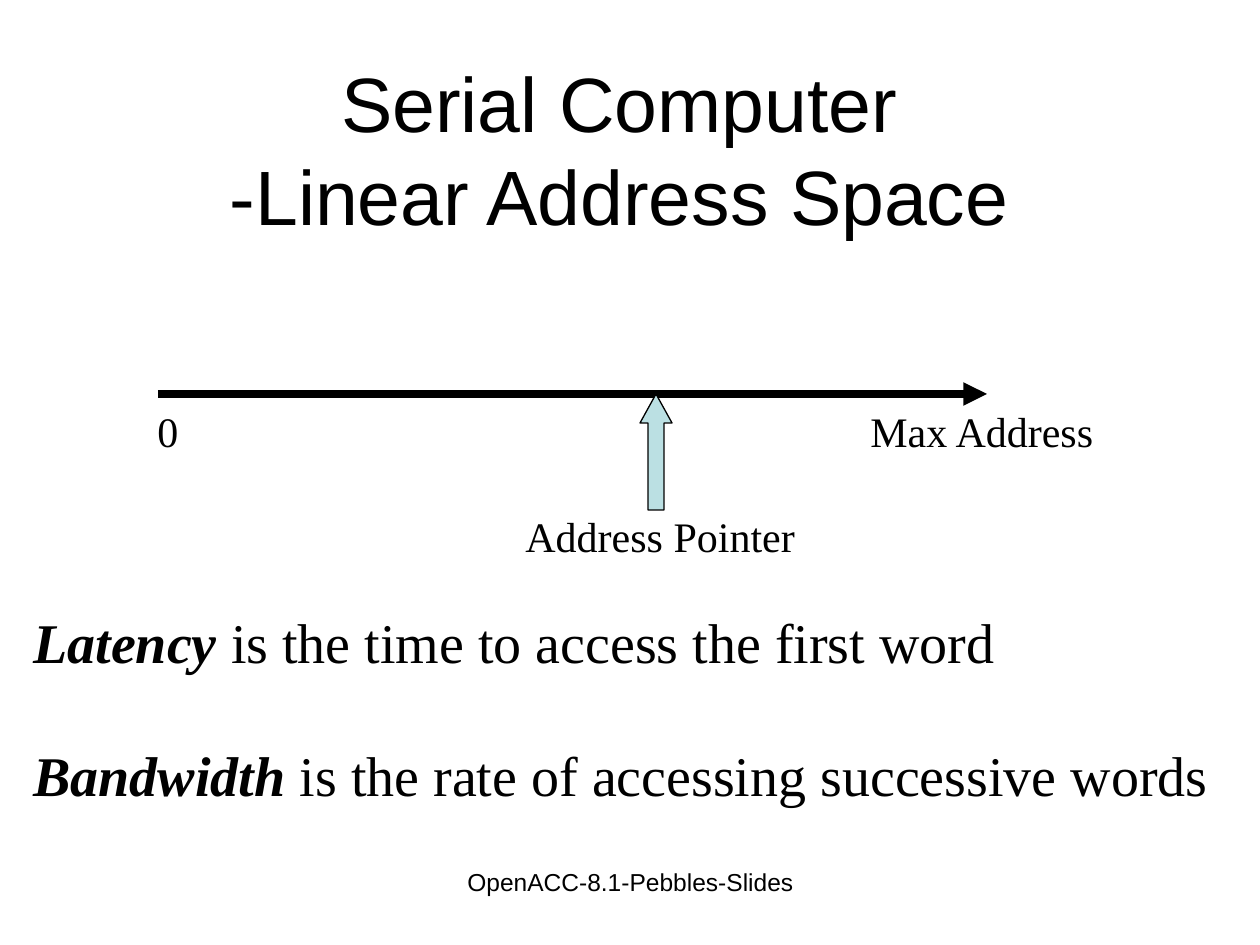
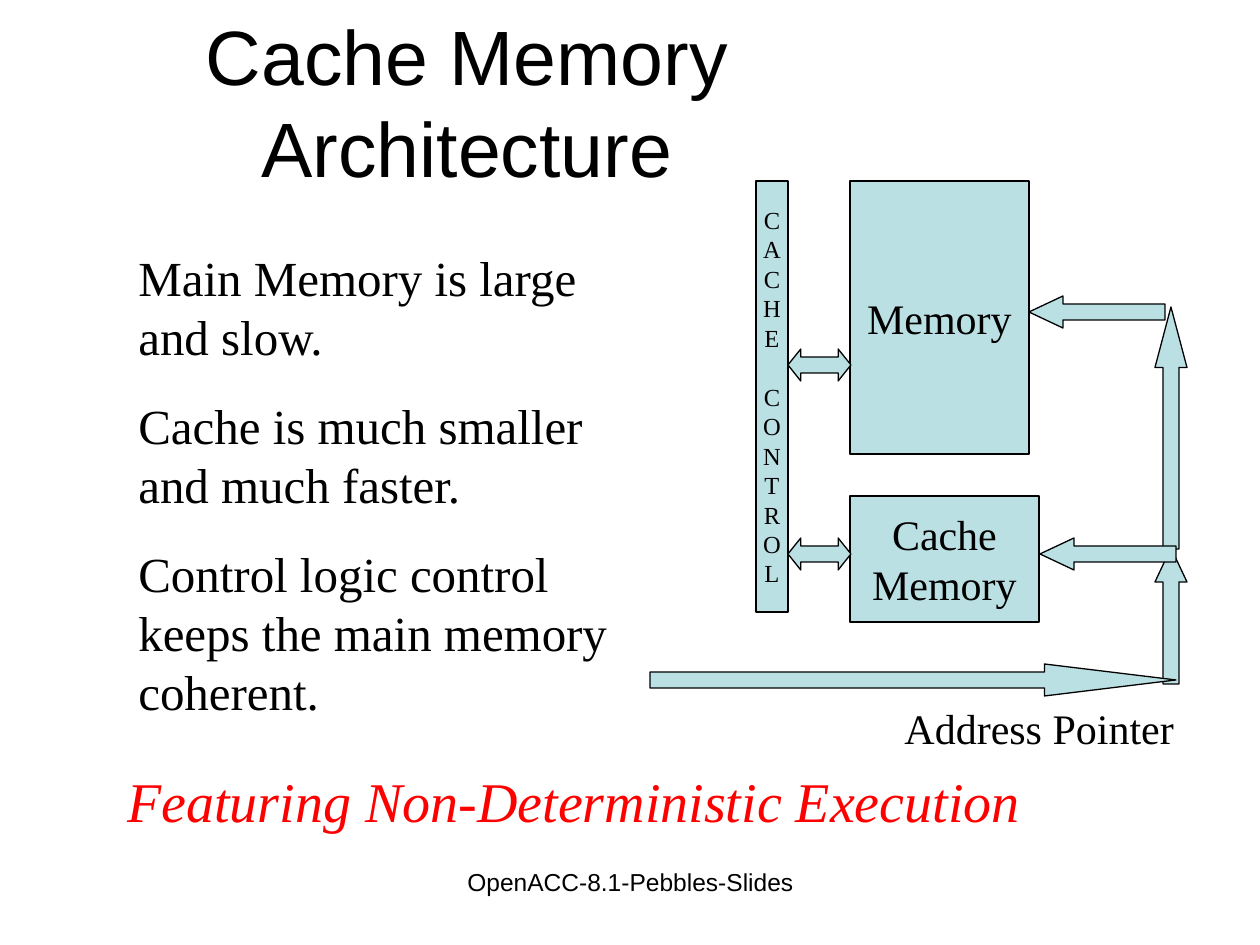
from dataclasses import dataclass

from lxml import etree
from pptx import Presentation
from pptx.dml.color import RGBColor
from pptx.enum.shapes import MSO_CONNECTOR, MSO_SHAPE
from pptx.enum.text import MSO_ANCHOR, MSO_AUTO_SIZE, PP_ALIGN
from pptx.oxml.ns import qn
from pptx.util import Emu, Pt

LEFT, CENTER = PP_ALIGN.LEFT, PP_ALIGN.CENTER
MIDDLE = MSO_ANCHOR.MIDDLE
NO_AUTOFIT = MSO_AUTO_SIZE.NONE
STRAIGHT = MSO_CONNECTOR.STRAIGHT
RECTANGLE = MSO_SHAPE.RECTANGLE
UP, RIGHT = MSO_SHAPE.UP_ARROW, MSO_SHAPE.RIGHT_ARROW
TO_LEFT, BOTH_WAYS = MSO_SHAPE.LEFT_ARROW, MSO_SHAPE.LEFT_RIGHT_ARROW
SCALE = 914400 / 126


@dataclass(frozen=True)
class Theme:
    ink: RGBColor = RGBColor(0, 0, 0)
    fill: RGBColor = RGBColor(0xBB, 0xE0, 0xE3)
    accent: RGBColor = RGBColor(0xFF, 0, 0)
    heading_font: str = "Arial"
    body_font: str = "Times New Roman"
    title: int = 44
    statement: int = 32
    body: int = 28
    label: int = 24
    small: int = 14
    outline: float = 0.75
    axis: float = 4.5


THEME = Theme()


def write(frame, text, size, font=THEME.body_font, color=THEME.ink, align=LEFT, gap=0, wrap=True):
    frame.text = text
    frame.word_wrap = wrap
    for number, paragraph in enumerate(frame.paragraphs):
        paragraph.alignment = align
        paragraph.space_before = Pt(gap if number else 0)
        for run in paragraph.runs:
            run.font.name, run.font.size = font, Pt(size)
            run.font.color.rgb = color
    return frame


def draw(slide, kind, bounds):
    shape = slide.shapes.add_shape(kind, *[Emu(round(v * SCALE)) for v in bounds])
    shape.shadow.inherit = False
    shape.fill.solid()
    shape.fill.fore_color.rgb = THEME.fill
    shape.line.color.rgb = THEME.ink
    shape.line.width = Pt(THEME.outline)
    if kind != RECTANGLE:
        width, height = bounds[2:]
        shape.adjustments[0] = 0.5
        head = max(width, height) / min(width, height) / 4
        shape.adjustments[1] = 0.4 if kind == BOTH_WAYS else head
    return shape


deck = Presentation()
deck.slide_width = Emu(round(1260 * SCALE))
deck.slide_height = Emu(round(945 * SCALE))
title_only = deck.slide_layouts[5]

slides = []
for heading, bounds in (
    ("Serial Computer\v-Linear Address Space", (42, 54, 1155, 188)),
    ("Cache Memory\vArchitecture", (94, 2, 746, 198)),
):
    slide = deck.slides.add_slide(title_only)
    title = slide.shapes.title
    title.left, title.top, title.width, title.height = [Emu(round(v * SCALE)) for v in bounds]
    frame = write(title.text_frame, heading, THEME.title, THEME.heading_font, align=CENTER)
    frame.auto_size = NO_AUTOFIT
    frame.vertical_anchor = MIDDLE
    footer = slide.shapes.add_textbox(*[Emu(round(v * SCALE)) for v in (431, 861, 399, 66)])
    write(footer.text_frame, "OpenACC-8.1-Pebbles-Slides", THEME.small,
          THEME.heading_font, align=CENTER)
    slides.append(slide)
serial, cached = slides

address_axis = serial.shapes.add_connector(
    STRAIGHT, *[Emu(round(v * SCALE)) for v in (158, 394, 987, 394)])
address_axis.line.color.rgb = THEME.ink
address_axis.line.width = Pt(THEME.axis)
axis_properties = address_axis.line._get_or_add_ln()
etree.SubElement(axis_properties, qn("a:tailEnd"), type="triangle")
etree.SubElement(axis_properties.getparent(), qn("a:effectLst"))

draw(serial, UP, (640, 394, 32, 116))

for slide, text, bounds in (
    (serial, "Address Pointer", (513, 504, 295, 63)),
    (serial, "0", (145, 399, 46, 63)),
    (serial, "Max Address", (858, 399, 248, 63)),
    (cached, "Address Pointer", (892, 696, 295, 63)),
):
    label = slide.shapes.add_textbox(*[Emu(round(v * SCALE)) for v in bounds])
    write(label.text_frame, text, THEME.label, wrap=False)

definitions = serial.shapes.add_textbox(*[Emu(round(v * SCALE)) for v in (21, 601, 1201, 214)])
frame = write(definitions.text_frame, "\n", THEME.statement, gap=38, wrap=False)
for paragraph, term, meaning in zip(
    frame.paragraphs,
    ("Latency", "Bandwidth"),
    (" is the time to access the first word", " is the rate of accessing successive words"),
):
    for text, strong in ((term, True), (meaning, False)):
        run = paragraph.add_run()
        run.text = text
        run.font.name, run.font.size = THEME.body_font, Pt(THEME.statement)
        run.font.color.rgb = THEME.ink
        run.font.bold = run.font.italic = strong

for kind, bounds in (
    (UP, (1155, 548, 32, 136)),
    (RIGHT, (650, 664, 526, 32)),
    (UP, (1155, 307, 32, 242)),
):
    draw(cached, kind, bounds)

for text, size, bounds in (
    ("Memory", THEME.label, (850, 181, 179, 273)),
    ("Cache\nMemory", THEME.label, (850, 496, 189, 126)),
    ("\n".join("CACHECONTROL"), THEME.small, (756, 181, 32, 431)),
):
    block = draw(cached, RECTANGLE, bounds)
    frame = write(block.text_frame, text, size, align=CENTER, wrap=False)
    frame.vertical_anchor = MIDDLE
frame.paragraphs[len("CACHE")].space_before = Pt(17)

for kind, bounds in (
    (TO_LEFT, (1029, 296, 136, 32)),
    (TO_LEFT, (1040, 538, 136, 32)),
    (BOTH_WAYS, (788, 349, 63, 32)),
    (BOTH_WAYS, (788, 538, 63, 32)),
):
    draw(cached, kind, bounds)

traits = cached.shapes.add_textbox(*[Emu(round(v * SCALE)) for v in (126, 241, 514, 486)])
write(traits.text_frame,
      "Main Memory is large and slow.\n"
      "Cache is much smaller and much faster.\n"
      "Control logic control keeps the main memory coherent.",
      THEME.body, gap=17.5)

feature = cached.shapes.add_textbox(*[Emu(round(v * SCALE)) for v in (115, 760, 1092, 81)])
frame = write(feature.text_frame, "Featuring Non-Deterministic Execution",
              THEME.statement, color=THEME.accent)
frame.paragraphs[0].runs[0].font.italic = True

deck.save("out.pptx")
